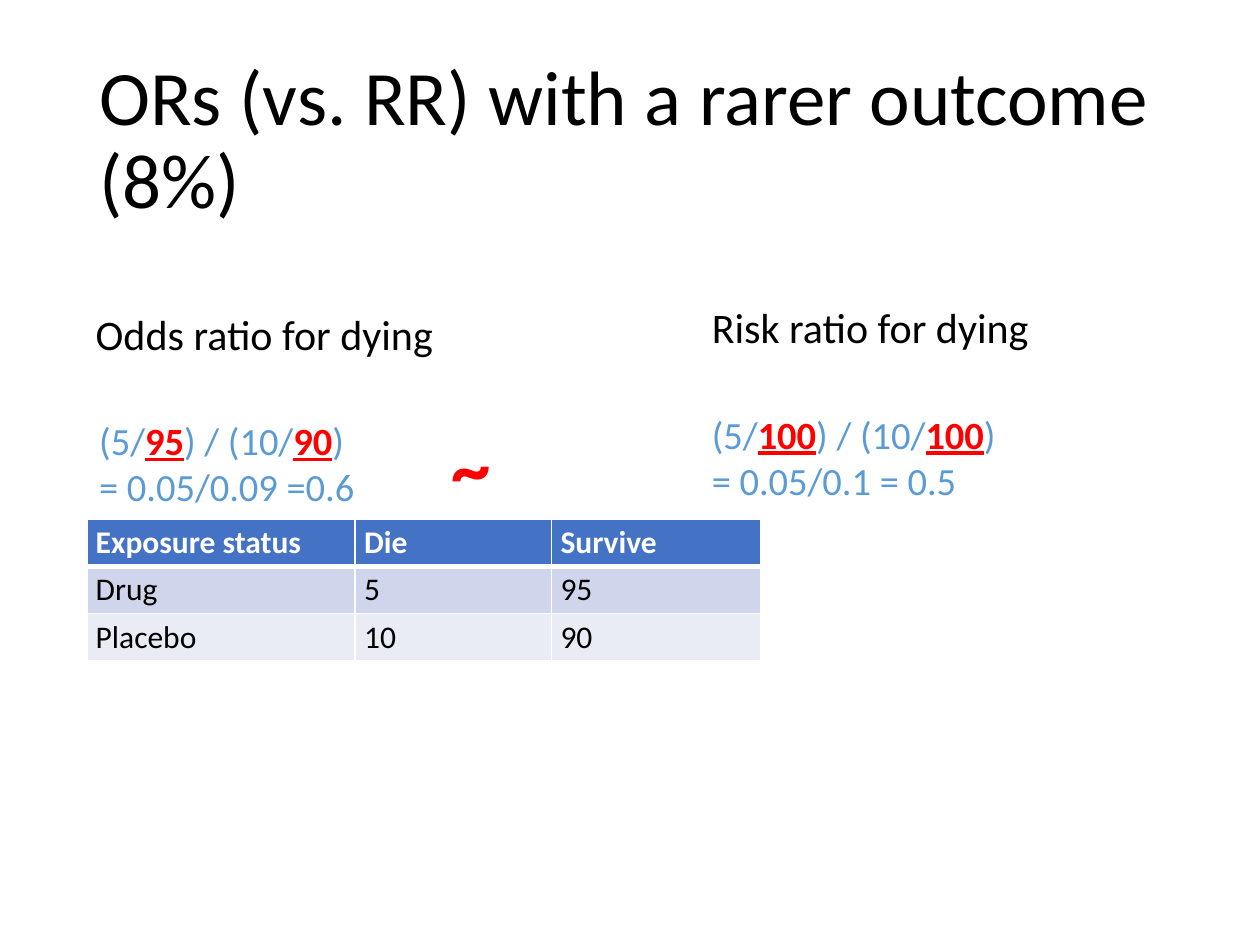
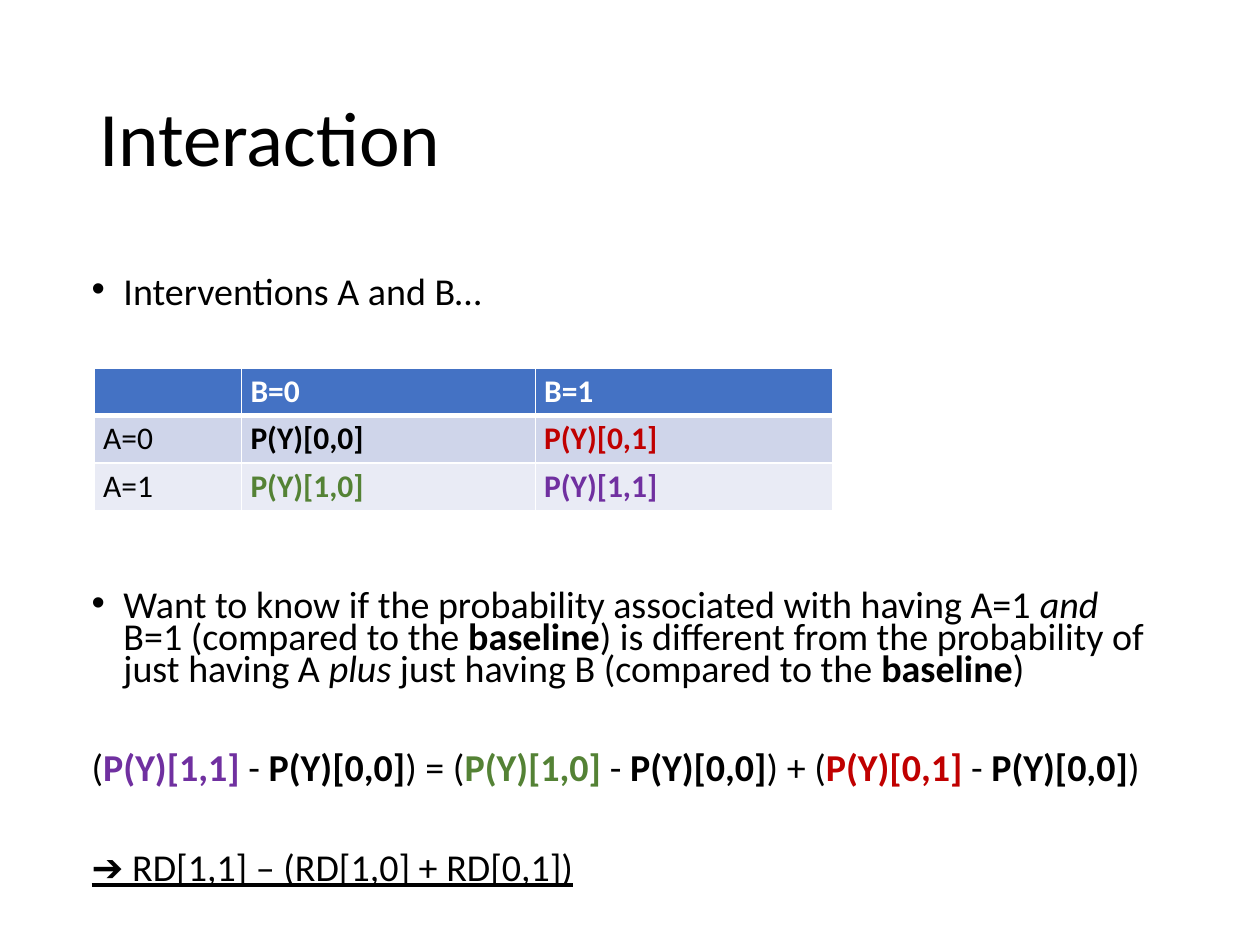
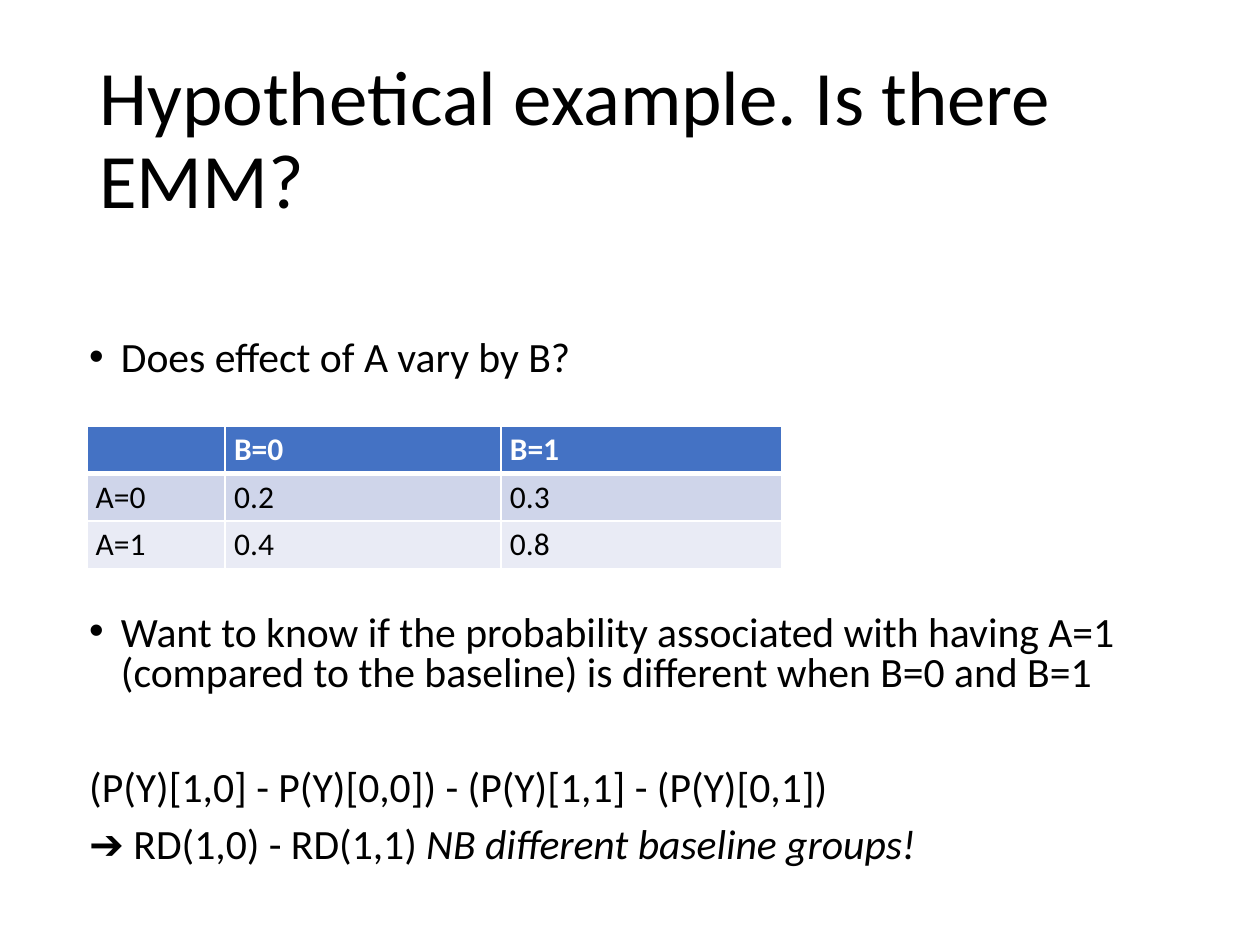
"""Three slides on odds ratios, interaction and effect measure modification."""
import lxml.etree
import pptx
import pptx.dml.color
import pptx.enum.text
import pptx.oxml.ns
import pptx.util

Cm = pptx.util.Cm
Pt = pptx.util.Pt
qn = pptx.oxml.ns.qn
HUES = {
    "black": "000000", "white": "FFFFFF", "sky": "5B9BD5", "red": "FF0000",
    "plum": "7030A0", "green": "548235", "brick": "C00000",
    "head": "4472C4", "odd": "CFD5EA", "even": "E9EBF5",
}
FONT = "Calibri"
LEFT = 1.75


def write(frame, paras, size=18, hue="black", bold=False, lead=1.0, gaps=(), dots=(),
          pad=(0.25, 0.13), anchor="TOP"):
    frame.word_wrap = True
    frame.auto_size = pptx.enum.text.MSO_AUTO_SIZE.NONE
    frame.vertical_anchor = pptx.enum.text.MSO_ANCHOR[anchor]
    frame.margin_left = frame.margin_right = Cm(pad[0])
    frame.margin_top = frame.margin_bottom = Cm(pad[1])
    for i, runs in enumerate(paras):
        para = frame.paragraphs[0] if i == 0 else frame.add_paragraph()
        para.alignment = pptx.enum.text.PP_ALIGN.LEFT
        para.line_spacing = lead
        para.space_before = Pt(gaps[i] if gaps else 0)
        if i in dots:
            props = para._p.get_or_add_pPr()
            props.set("marL", str(Cm(0.64)))
            props.set("indent", str(-Cm(0.64)))
            lxml.etree.SubElement(props, qn("a:buFont")).set("typeface", "Arial")
            lxml.etree.SubElement(props, qn("a:buChar")).set("char", "•")
        for part in [runs] if isinstance(runs, str) else runs:
            text, flags, ink = (part, "", hue) if isinstance(part, str) else part
            run = para.add_run()
            run.text = text
            run.font.name = FONT
            run.font.size = Pt(size)
            run.font.bold = bold or "b" in flags
            run.font.italic = "i" in flags
            run.font.underline = "u" in flags
            run.font.color.rgb = pptx.dml.color.RGBColor.from_string(HUES[ink])


def grid(slide, left, top, widths, rows):
    frame = slide.shapes.add_table(len(rows), len(widths), Cm(left), Cm(top),
                                   Cm(sum(widths)), Cm(0.95 * len(rows)))
    table = frame.table
    for col, width in zip(table.columns, widths):
        col.width = Cm(width)
    for r, row in enumerate(rows):
        table.rows[r].height = Cm(0.95)
        for c, item in enumerate(row):
            cell = table.cell(r, c)
            cell.fill.solid()
            fill = HUES[("head", "odd", "even")[r]]
            cell.fill.fore_color.rgb = pptx.dml.color.RGBColor.from_string(fill)
            cell.margin_left = cell.margin_right = Cm(0.18)
            cell.margin_top = cell.margin_bottom = Cm(0.09)
            if item:
                write(cell.text_frame, [[item]], hue="black" if r else "white",
                      bold=r == 0, pad=(0.18, 0.09))
            props = cell._tc.get_or_add_tcPr()
            for i, side in enumerate("LRTB"):
                thick = (r, side) in ((0, "B"), (1, "T"))
                line = lxml.etree.Element(qn("a:ln" + side), w=str(Pt(3 if thick else 1)))
                paint = lxml.etree.SubElement(line, qn("a:solidFill"))
                lxml.etree.SubElement(paint, qn("a:srgbClr")).set("val", HUES["white"])
                props.insert(i, line)


deck = pptx.Presentation()
deck.slide_width, deck.slide_height = Cm(25.4), Cm(19.05)

slides = []
for name in ("ORs (vs. RR) with a rarer outcome (8%)", "Interaction",
             "Hypothetical example. Is there EMM?"):
    slide = deck.slides.add_slide(deck.slide_layouts[5])
    title = slide.shapes.title
    title.left, title.top, title.width, title.height = Cm(LEFT), Cm(1.02), Cm(21.9), Cm(3.68)
    write(title.text_frame, [name], size=44, lead=0.9, anchor="MIDDLE")
    slides.append(slide)
odds, inter, hypo = slides

ratios = [
    (LEFT, 6.22, 0.18, "Odds ratio for dying", 8.28, "95", "90", "= 0.05/0.09 =0.6"),
    (14.1, 6.07, 0.25, "Risk ratio for dying", 8.15, "100", "100", "= 0.05/0.1 = 0.5"),
]
for left, top, pad, label, low, drug, sham, result in ratios:
    box = odds.shapes.add_textbox(Cm(left), Cm(top), Cm(10.5), Cm(1.6))
    write(box.text_frame, [label], size=24, lead=0.9, pad=(pad, 0.12))
    box = odds.shapes.add_textbox(Cm(left), Cm(low), Cm(6.5), Cm(2.13))
    sums = ["(5/", (drug, "bu", "red"), ") / (10/", (sham, "bu", "red"), ")"]
    write(box.text_frame, [sums, result], size=22, hue="sky")
box = odds.shapes.add_textbox(Cm(8.86), Cm(8.3), Cm(2.08), Cm(2.18))
write(box.text_frame, ["~"], size=45, hue="red", bold=True)
grid(odds, LEFT, 10.46, (5.41, 3.96, 4.22), [
    ("Exposure status", "Die", "Survive"), ("Drug", "5", "95"), ("Placebo", "10", "90")])

base = ("P(Y)[0,0]", "b", "black")
box = inter.shapes.add_textbox(Cm(1.6), Cm(5.51), Cm(21.9), Cm(12.83))
write(box.text_frame, [
    "Interventions A and B…",
    ["Want to know if the probability associated with having A=1 ", ("and", "i", "black"),
     " B=1 (compared to the ", ("baseline", "b", "black"),
     ") is different from the probability of just having A ", ("plus", "i", "black"),
     " just having B (compared to the ", ("baseline", "b", "black"), ")"],
    ["(", ("P(Y)[1,1] ", "b", "plum"), "- ", base, ") = (",
     ("P(Y)[1,0] ", "b", "green"), "- ", base, ") + (",
     ("P(Y)[0,1] ", "b", "brick"), "- ", base, ")"],
    [("➔ RD[1,1] – (RD[1,0] + RD[0,1])", "u", "black")],
], size=21.7, lead=0.7, gaps=(0, 161, 38.5, 38.5), dots=(0, 1))
grid(inter, 1.9, 7.42, (2.97, 5.92, 5.99), [
    ("", "B=0", "B=1"),
    ("A=0", base, ("P(Y)[0,1]", "b", "brick")),
    ("A=1", ("P(Y)[1,0]", "b", "green"), ("P(Y)[1,1]", "b", "plum"))])

box = hypo.shapes.add_textbox(Cm(1.55), Cm(6.74), Cm(21.9), Cm(10.79))
write(box.text_frame, [
    "Does effect of A vary by B?",
    "Want to know if the probability associated with having A=1 "
    "(compared to the baseline) is different when B=0 and B=1",
    "(P(Y)[1,0] - P(Y)[0,0]) - (P(Y)[1,1] - (P(Y)[0,1])",
    ["➔ RD(1,0) - RD(1,1) ", ("NB different baseline groups!", "i", "black")],
], size=23.8, lead=0.8, gaps=(0, 134, 43, 10), dots=(0, 1))
grid(hypo, LEFT, 8.59, (2.79, 5.56, 5.66), [
    ("", "B=0", "B=1"), ("A=0", "0.2", "0.3"), ("A=1", "0.4", "0.8")])

deck.save("out.pptx")
